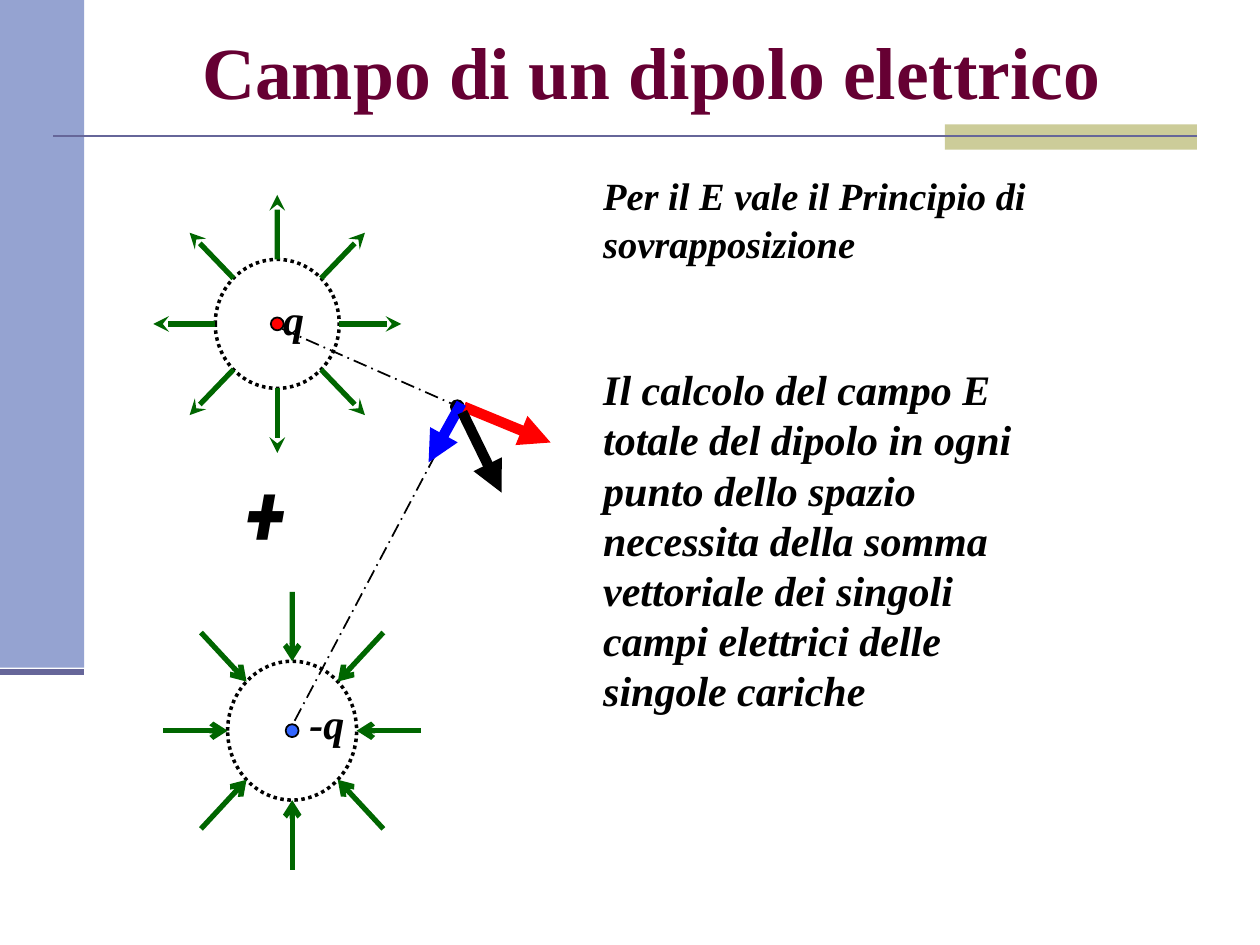
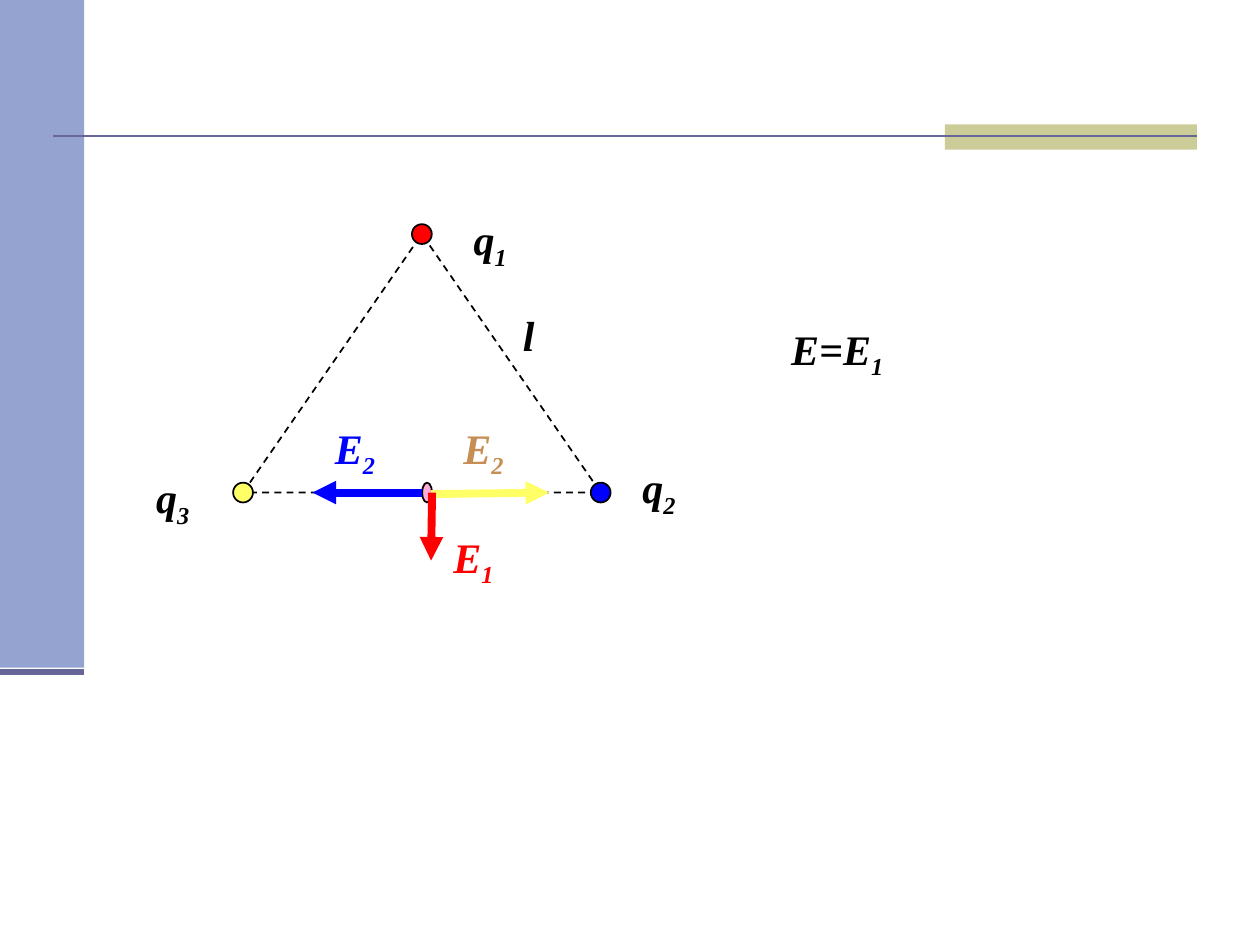
from math import cos, pi, sin

from pptx import Presentation
from pptx.dml.color import RGBColor
from pptx.enum.dml import MSO_LINE
from pptx.enum.shapes import MSO_CONNECTOR, MSO_SHAPE
from pptx.enum.text import MSO_ANCHOR, MSO_AUTO_SIZE, PP_ALIGN
from pptx.oxml.ns import qn
from pptx.util import Cm, Pt
from lxml.etree import SubElement

BLACK = RGBColor(0x00, 0x00, 0x00)
RED = RGBColor(0xFF, 0x00, 0x00)
BLUE = RGBColor(0x00, 0x00, 0xFF)
SKY = RGBColor(0x33, 0x66, 0xFF)
YELLOW = RGBColor(0xFF, 0xFF, 0x66)
PINK = RGBColor(0xFF, 0xAD, 0xD6)
TAN = RGBColor(0xC6, 0x8D, 0x54)
GREEN = RGBColor(0x00, 0x66, 0x00)
PLUM = RGBColor(0x66, 0x00, 0x33)
BAND = RGBColor(0x95, 0xA3, 0xD1)
ACCENT = RGBColor(0xCC, 0xCC, 0x99)
RULE = RGBColor(0x66, 0x66, 0x99)
SERIF = "Times New Roman"

# Content, all places and lengths in centimetres
TITLE = "Campo di un dipolo elettrico"
# text, size, line pitch, space before (points)
BODY = [
    ("Per il E vale il Principio di sovrapposizione", 22, 27, 0),
    ("Il calcolo del campo E totale del dipolo in ogni punto dello spazio "
     "necessita della somma vettoriale dei singoli campi elettrici delle "
     "singole cariche", 24, 28.7, 56),
]
# centre, radii, dot colour, whether the field points outwards, label, label place
CHARGES = [
    ((5.59, 6.53), (1.25, 1.3), RED, True, "q", (5.46, 5.79)),
    ((5.89, 14.73), (1.3, 1.4), SKY, False, "-q", (5.99, 13.94)),
]
FIELD_POINT = (9.22, 8.2)
SIGHT_LINES = [((5.69, 6.63), (9.09, 8.13)), ((5.94, 14.53), (9.22, 8.33))]
DIPOLE_VECTORS = [
    ((9.35, 8.2), (11.1, 8.92), RED),
    ((9.3, 8.13), (8.64, 9.32), BLUE),
    ((9.32, 8.31), (10.11, 9.93), BLACK),
]

TRIANGLE = (4.9, 4.72, 7.21, 5.21)
CORNER_COLORS = [RED, YELLOW, BLUE]  # top, left, right
TRIANGLE_VECTORS = [
    ((8.51, 9.93), (6.3, 9.93), BLUE),
    ((8.69, 9.96), (11.07, 9.93), YELLOW),
    ((8.71, 9.93), (8.69, 11.3), RED),
]
# text, subscript, place, colour
TRIANGLE_LABELS = [
    ("l", "", (10.29, 6.12), BLACK),
    ("q", "1", (9.3, 4.32), BLACK),
    ("q", "2", (12.7, 9.32), BLACK),
    ("q", "3", (2.9, 9.53), BLACK),
    ("E", "1", (8.89, 10.72), RED),
    ("E", "2", (6.5, 8.53), BLUE),
    ("E", "2", (9.09, 8.53), TAN),
    ("E=E", "1", (15.7, 6.53), BLACK),
]


def add_figure(slide, kind, box, fill=None, line=None, width=1, dash=None):
    sp = slide.shapes.add_shape(kind, *[Cm(v) for v in box])
    sp.shadow.inherit = False
    if fill is None:
        sp.fill.background()
    else:
        sp.fill.solid()
        sp.fill.fore_color.rgb = fill
    if line is None:
        sp.line.fill.background()
    else:
        sp.line.color.rgb = line
        sp.line.width = Pt(width)
        sp.line.dash_style = dash
    return sp


def add_ellipse(slide, center, rx, ry, fill=None, **outline):
    x, y = center
    add_figure(slide, MSO_SHAPE.OVAL, (x - rx, y - ry, 2 * rx, 2 * ry),
               fill, BLACK, **outline)


def add_line(slide, start, end, color, width, dash=None, arrow=None):
    cn = slide.shapes.add_connector(
        MSO_CONNECTOR.STRAIGHT, *[Cm(v) for v in (*start, *end)])
    cn.line.color.rgb = color
    cn.line.width = Pt(width)
    cn.line.dash_style = dash
    spPr = cn._element.spPr
    if arrow:
        SubElement(spPr.find(qn("a:ln")), qn("a:tailEnd"), type=arrow)
    SubElement(spPr, qn("a:effectLst"))


def style(p, size, color=BLACK, name=SERIF, pitch=None):
    p.font.size = Pt(size)
    p.font.name = name
    p.font.bold = p.font.italic = True
    p.font.color.rgb = color
    if pitch:
        p.line_spacing = Pt(pitch)


def add_textbox(slide, box):
    tf = slide.shapes.add_textbox(*[Cm(v) for v in box]).text_frame
    tf.word_wrap = True
    return tf


def add_label(slide, text, place, color=BLACK, subscript=""):
    p = add_textbox(slide, (*place, 3, 1.3)).paragraphs[0]
    p.add_run().text = text
    if subscript:
        r = p.add_run()
        r.text = subscript
        r._r.get_or_add_rPr().set("baseline", "-25000")
    style(p, 24, color, pitch=28.8)


def add_frame(slide):
    """Side band, header rule and accent block shared by all slides."""
    add_figure(slide, MSO_SHAPE.RECTANGLE, (0, 0, 1.7, 13.46), BAND)
    add_figure(slide, MSO_SHAPE.RECTANGLE, (19.05, 2.51, 5.08, 0.51), ACCENT)
    add_line(slide, (1.07, 2.74), (24.13, 2.74), RULE, 1.5)
    add_line(slide, (0, 13.54), (1.7, 13.54), RULE, 3.5)


def add_title(slide, text):
    sp = slide.shapes.title
    sp.left, sp.top, sp.width, sp.height = Cm(1.7), Cm(0.53), Cm(22.86), Cm(1.75)
    tf = sp.text_frame
    tf.text = text
    tf.auto_size = MSO_AUTO_SIZE.NONE
    tf.vertical_anchor = MSO_ANCHOR.MIDDLE
    p = tf.paragraphs[0]
    style(p, 42, PLUM)
    p.font.italic = False
    p.alignment = PP_ALIGN.CENTER


def add_charge(slide, center, radii, color, outward, label, place):
    """A point charge, its dotted circle and eight field arrows."""
    add_ellipse(slide, center, 0.13, 0.13, color)
    add_ellipse(slide, center, *radii, width=2, dash=MSO_LINE.ROUND_DOT)
    for i in range(8):
        angle = i * pi / 4
        inner, outer = [
            (center[0] + k * radii[0] * cos(angle),
             center[1] + k * radii[1] * sin(angle)) for k in (1, 2)]
        if outward:
            add_line(slide, inner, outer, GREEN, 3, arrow="stealth")
        else:
            add_line(slide, outer, inner, GREEN, 3, arrow="arrow")
    add_label(slide, label, place)


def build_dipole(prs):
    slide = prs.slides.add_slide(prs.slide_layouts[5])
    add_frame(slide)
    add_title(slide, TITLE)
    for charge in CHARGES:
        add_charge(slide, *charge)

    # Plus sign between the two fields
    p = add_textbox(slide, (4.7, 9.12, 2.59, 2.39)).paragraphs[0]
    p.text = "+"
    style(p, 50, name="Roboto Condensed")

    # Explanation
    tf = add_textbox(slide, (11.91, 3.33, 9.8, 11.28))
    for i, (text, size, pitch, before) in enumerate(BODY):
        p = tf.add_paragraph() if i else tf.paragraphs[0]
        p.text = text
        style(p, size, pitch=pitch)
        if before:
            p.space_before = Pt(before)

    # Field point and vector sum
    add_ellipse(slide, FIELD_POINT, 0.13, 0.13, BLACK)
    for start, end in SIGHT_LINES:
        add_line(slide, start, end, BLACK, 1, MSO_LINE.LONG_DASH_DOT)
    for start, end, color in DIPOLE_VECTORS:
        add_line(slide, start, end, color, 6, arrow="triangle")


def build_triangle(prs):
    slide = prs.slides.add_slide(prs.slide_layouts[6])
    add_frame(slide)

    # Triangle with a charge on each corner
    x, y, w, h = TRIANGLE
    add_figure(slide, MSO_SHAPE.ISOSCELES_TRIANGLE, TRIANGLE,
               line=BLACK, dash=MSO_LINE.DASH)
    corners = [(x + w / 2, y), (x, y + h), (x + w, y + h)]
    for corner, color in zip(corners, CORNER_COLORS):
        add_ellipse(slide, corner, 0.2, 0.2, color)

    # Field vectors at the middle of the base
    add_ellipse(slide, (8.61, y + h), 0.1, 0.2, PINK)
    for start, end, color in TRIANGLE_VECTORS:
        add_line(slide, start, end, color, 4.5, arrow="triangle")
    for text, subscript, place, color in TRIANGLE_LABELS:
        add_label(slide, text, place, color, subscript)


def main():
    prs = Presentation()
    prs.slide_width, prs.slide_height = Cm(25.4), Cm(19.05)
    build_dipole(prs)
    build_triangle(prs)
    prs.save("out.pptx")


if __name__ == "__main__":
    main()
